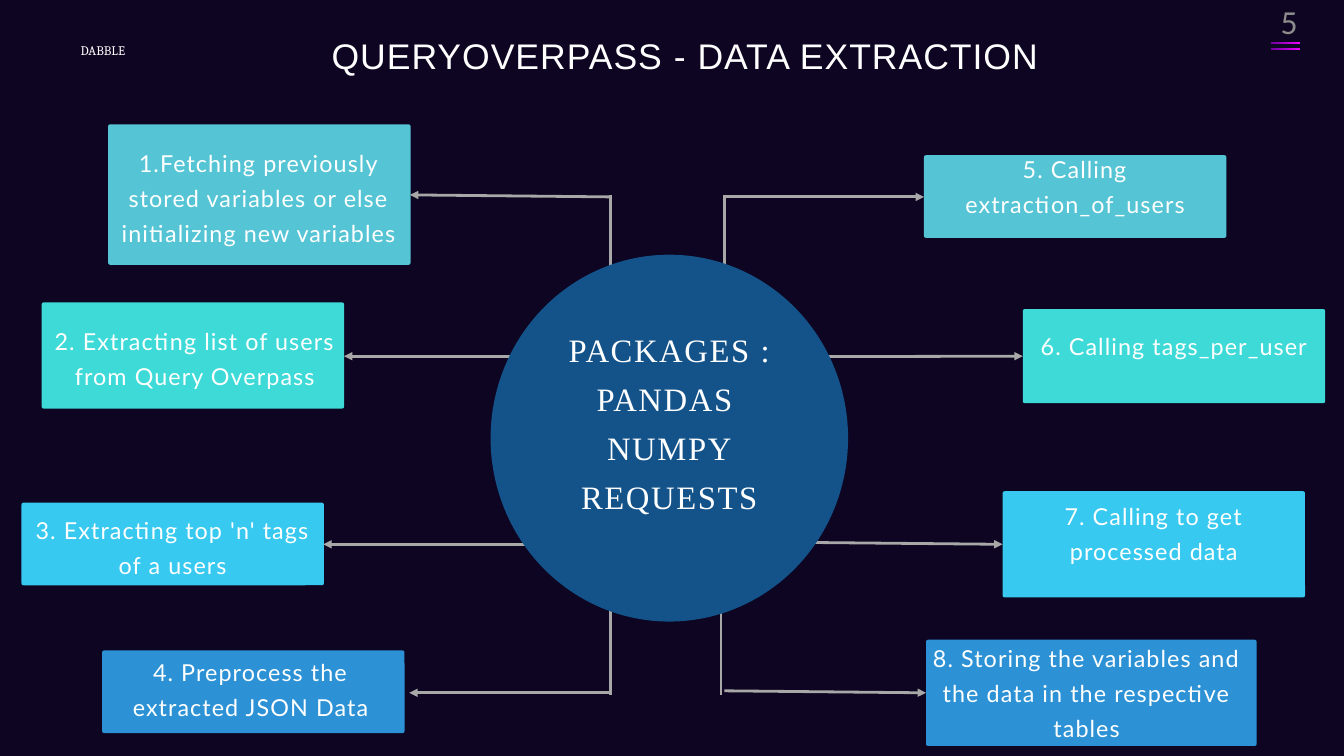
from lxml import etree
from pptx import Presentation
from pptx.dml.color import RGBColor
from pptx.enum.shapes import MSO_CONNECTOR, MSO_SHAPE
from pptx.enum.text import MSO_ANCHOR as ANCHOR, MSO_AUTO_SIZE, PP_ALIGN as ALIGN
from pptx.oxml.ns import qn
from pptx.util import Inches, Pt

BACKGROUND, WHITE, GREY, LINE, CIRCLE = "0D0521", "FFFFFF", "8C8C8C", "A8A8A8", "13538A"
TEAL, AQUA, SKY, BLUE = "55C4D4", "3EDAD8", "37C9EF", "2C92D5"
ACCENT = ("6E009B", "EB00FF")

TITLE = "QUERYOVERPASS - DATA EXTRACTION"
PACKAGES = ["PACKAGES :", "PANDAS ", "NUMPY", "REQUESTS"]

# text, colour, box (left, top, width, height), text (left, top), left inset
STEPS = [
    ("1.Fetching previously stored variables or else initializing new variables",
     TEAL, (1.61, 1.85, 4.5, 2.09), (1.45, 1.65), 0.36),
    ("2. Extracting list of users from Query Overpass",
     AQUA, (0.62, 4.5, 4.5, 1.58), (0.65, 4.29), 0.06),
    ("3. Extracting top 'n' tags of a users",
     SKY, (0.32, 7.48, 4.5, 1.23), (0.32, 7.28), 0.06),
    ("4. Preprocess the extracted JSON Data",
     BLUE, (1.52, 9.68, 4.5, 1.23), (1.48, 9.39), 0.06),
    ("5. Calling extraction_of_users",
     TEAL, (13.75, 2.31, 4.5, 1.23), (13.75, 1.9), 0.06),
    ("6. Calling tags_per_user",
     AQUA, (15.22, 4.6, 4.5, 1.4), (15.22, 4.19), 0.06),
    ("7. Calling to get processed data",
     SKY, (14.92, 7.31, 4.5, 1.58), (14.92, 6.9), 0.06),
    ("8. Storing the variables and the data in the respective tables",
     BLUE, (13.78, 9.52, 4.92, 1.58), (13.71, 9.27), 0.06),
]
TEXT_EXTRA_HEIGHT = 0.41
CORNER = 0.03

# x and y of the start, then of the end
ARROWS = [
    (9.08, 2.93, 6.1, 2.9), (9.11, 5.3, 5.12, 5.3),
    (9.05, 8.1, 4.81, 8.1), (9.08, 10.31, 6.09, 10.31),
    (10.78, 2.93, 13.75, 2.93), (10.75, 5.31, 15.22, 5.3),
    (10.73, 8.06, 14.92, 8.1), (10.78, 10.28, 13.78, 10.31),
]
STEMS = [
    (9.08, 5.3, 9.08, 2.9), (10.78, 5.24, 10.78, 2.9),
    (9.08, 10.34, 9.08, 8.54), (10.73, 10.34, 10.73, 8.54),
]

STEP_FONT = dict(size=25, name="Lato", spacing=1.2, leading=37.5)
PACKAGE_FONT = dict(size=35, name="Times New Roman", spacing=1.7, leading=52.5)
TITLE_FONT = dict(size=38.1, name="Arial", spacing=1.1, leading=49.9)
LABEL_FONT = dict(size=14, name="Cambria", leading=19.6)
NUMBER_FONT = dict(size=36, name="Calibri", color=GREY)


def rgb(color):
    return RGBColor.from_string(color)


def write(sp, lines, size, name, color=WHITE, spacing=0, leading=None,
          align=ALIGN.CENTER, anchor=ANCHOR.MIDDLE, insets=(0.06,) * 4):
    tf = sp.text_frame
    frame = dict(word_wrap=True, auto_size=MSO_AUTO_SIZE.NONE, vertical_anchor=anchor)
    sides = ("margin_left", "margin_top", "margin_right", "margin_bottom")
    frame.update(zip(sides, map(Inches, insets)))
    for key, value in frame.items():
        setattr(tf, key, value)
    for i, line in enumerate(lines):
        p = tf.add_paragraph() if i else tf.paragraphs[0]
        p.alignment = align
        if leading:
            p.line_spacing = Pt(leading)
        r = p.add_run()
        r.text = line
        for key, value in dict(size=Pt(size), name=name).items():
            setattr(r.font, key, value)
        r.font.color.rgb = rgb(color)
        if spacing:
            r._r.get_or_add_rPr().set("spc", str(round(spacing * 100)))


def add_text(s, box, lines, **style):
    write(s.shapes.add_textbox(*map(Inches, box)), lines, **style)


def add_filled(s, kind, box, color=None):
    sp = s.shapes.add_shape(kind, *map(Inches, box))
    sp.shadow.inherit = False
    sp.line.fill.background()
    if color:
        sp.fill.solid()
        sp.fill.fore_color.rgb = rgb(color)
    return sp


def add_line(s, points, arrow=False):
    line = s.shapes.add_connector(MSO_CONNECTOR.STRAIGHT, *map(Inches, points))
    line.line.color.rgb = rgb(LINE)
    line.line.width = Pt(3)
    if arrow:
        etree.SubElement(line.line._get_or_add_ln(), qn("a:tailEnd"), type="triangle")
    etree.SubElement(line._element.spPr, qn("a:effectLst"))


def add_step(s, text, color, box, text_at, left_inset):
    width, height = box[2:]
    sp = add_filled(s, MSO_SHAPE.ROUNDED_RECTANGLE, box, color)
    sp.adjustments[0] = CORNER / min(width, height)
    add_text(s, (*text_at, width, height + TEXT_EXTRA_HEIGHT), [text],
             insets=(left_inset, 0.06, 0.06, 0.06), **STEP_FONT)


def add_accent_bar(s, top):
    fill = add_filled(s, MSO_SHAPE.RECTANGLE, (18.91, top, 0.43, 0.03)).fill
    fill.gradient()
    fill.gradient_angle = 0
    for stop, position, color in zip(fill.gradient_stops, (0, 1), ACCENT):
        stop.position = position
        stop.color.rgb = rgb(color)


def main():
    prs = Presentation()
    prs.slide_width, prs.slide_height = Inches(20), Inches(11.25)
    s = prs.slides.add_slide(prs.slide_layouts[5])
    s.background.fill.solid()
    s.background.fill.fore_color.rgb = rgb(BACKGROUND)

    title = s.shapes.title
    place = dict(left=3.86, top=0.45, width=12.67, height=0.68)
    for key, value in place.items():
        setattr(title, key, Inches(value))
    write(title, [TITLE], anchor=ANCHOR.TOP, insets=(0,) * 4, **TITLE_FONT)

    for step in STEPS:
        add_step(s, *step)
    for points in ARROWS:
        add_line(s, points, arrow=True)
    for points in STEMS:
        add_line(s, points)

    add_filled(s, MSO_SHAPE.OVAL, (7.3, 3.79, 5.32, 5.46), CIRCLE)
    add_text(s, (7.8, 3.69, 4.32, 5.05), PACKAGES, **PACKAGE_FONT)

    add_text(s, (1.2, 0.6, 1.52, 0.27), ["DABBLE"], align=ALIGN.LEFT,
             anchor=ANCHOR.TOP, insets=(0,) * 4, **LABEL_FONT)
    for top in (0.62, 0.72):
        add_accent_bar(s, top)
    add_text(s, (17.08, 0.11, 2.33, 0.4), ["5"], align=ALIGN.RIGHT,
             insets=(0.1, 0.05, 0.1, 0.05), **NUMBER_FONT)
    prs.save("out.pptx")


if __name__ == "__main__":
    main()
